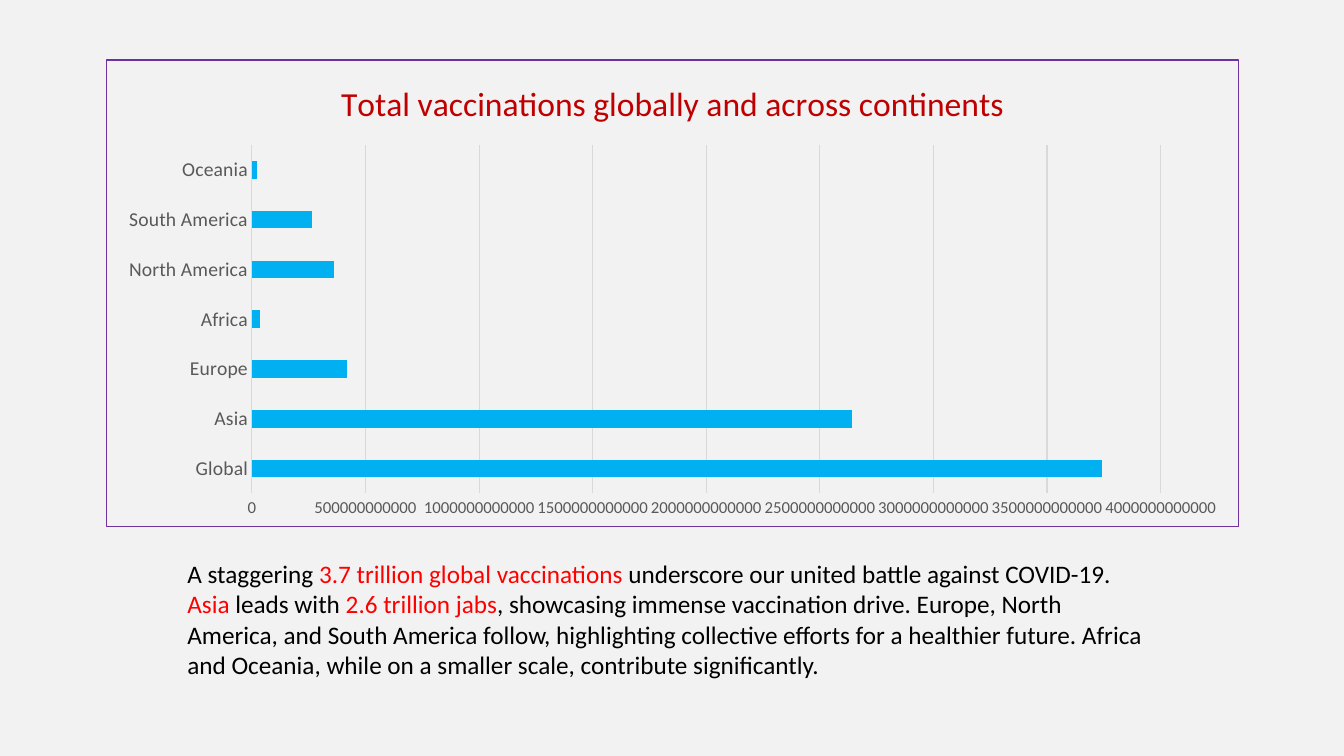
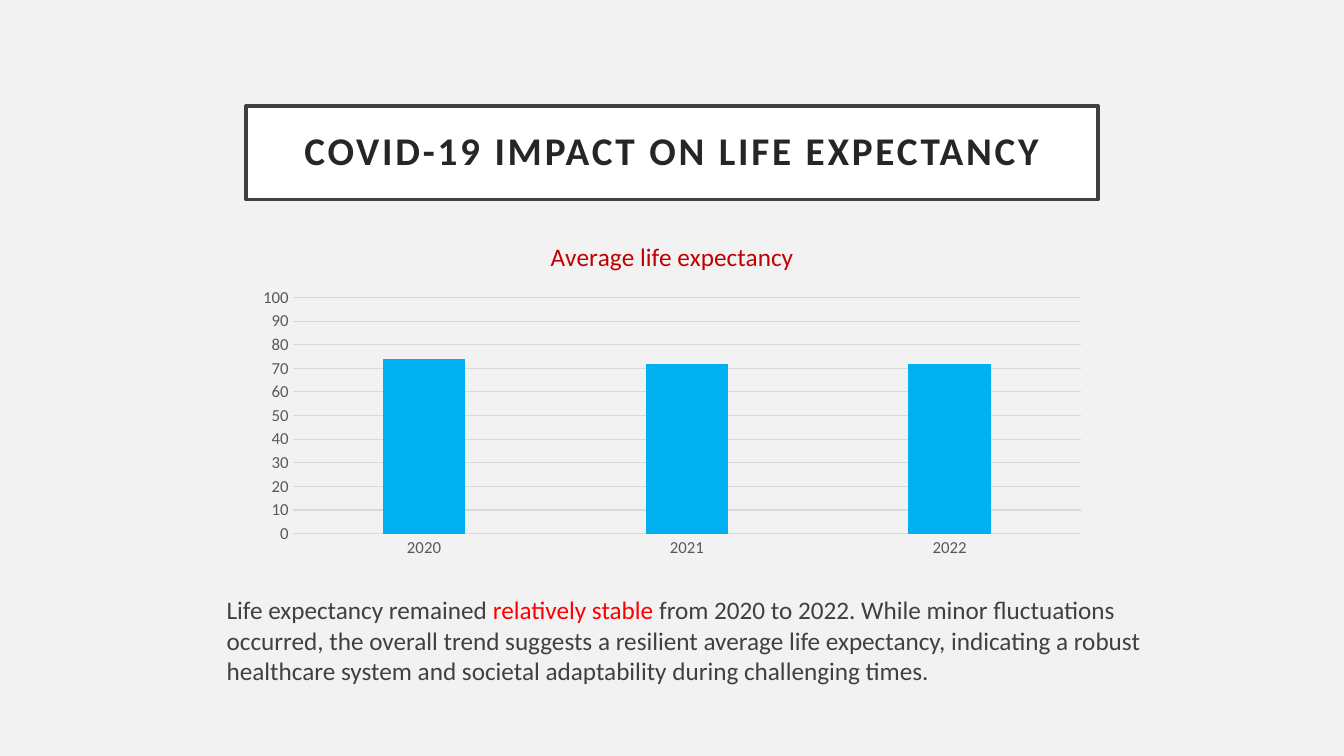
from lxml.etree import fromstring
from pptx import Presentation
from pptx.chart.data import CategoryChartData
from pptx.dml.color import RGBColor
from pptx.enum.chart import XL_CHART_TYPE, XL_TICK_MARK
from pptx.enum.text import MSO_ANCHOR, PP_ALIGN
from pptx.util import Inches, Pt

FONT = "Calibri"
PAPER = RGBColor(0xF2, 0xF2, 0xF2)
WHITE = RGBColor(0xFF, 0xFF, 0xFF)
BLACK = RGBColor(0x00, 0x00, 0x00)
INK = RGBColor(0x26, 0x26, 0x26)
CHARCOAL = RGBColor(0x40, 0x40, 0x40)
GREY = RGBColor(0x59, 0x59, 0x59)
GRID = RGBColor(0xD9, 0xD9, 0xD9)
RED = RGBColor(0xFF, 0x00, 0x00)
CRIMSON = RGBColor(0xC0, 0x00, 0x00)
BLUE = RGBColor(0x00, 0xB0, 0xF0)
PURPLE = RGBColor(0x70, 0x30, 0xA0)

VACCINATIONS = {
    "Global": 3740000000000,
    "Asia": 2640000000000,
    "Europe": 418000000000,
    "Africa": 37000000000,
    "North America": 360000000000,
    "South America": 264000000000,
    "Oceania": 22000000000,
}
LIFE_EXPECTANCY = {"2020": 74, "2021": 72, "2022": 72}

VACCINATION_NOTE = [
    ("A staggering ", BLACK),
    ("3.7 trillion global vaccinations ", RED),
    ("underscore our united battle against COVID-19. ", BLACK),
    ("Asia", RED),
    (" leads with ", BLACK),
    ("2.6 trillion jabs", RED),
    (", showcasing immense vaccination drive. Europe, North America, and South "
     "America follow, highlighting collective efforts for a healthier future. "
     "Africa and Oceania, while on a smaller scale, contribute significantly.", BLACK),
]
LIFE_NOTE = [
    ("Life expectancy remained ", CHARCOAL),
    ("relatively stable ", RED),
    ("from 2020 to 2022. While minor fluctuations occurred, the overall trend "
     "suggests a resilient average life expectancy, indicating a robust healthcare "
     "system and societal adaptability during challenging times.", CHARCOAL),
]


def box(*lengths):
    return [Inches(n) for n in lengths]


def style(font, size, color, bold=False):
    font.name, font.size, font.bold = FONT, Pt(size), bold
    font.color.rgb = color


def write(p, text, size=18, color=BLACK, bold=False, spacing=0):
    r = p.add_run()
    r.text = text
    style(r.font, size, color, bold)
    if spacing:
        r.font._element.set("spc", str(spacing * 100))


def add_note(s, place, runs):
    tf = s.shapes.add_textbox(*box(*place)).text_frame
    tf.word_wrap = True
    for text, color in runs:
        write(tf.paragraphs[0], text, color=color)


def frame_chart(chart, color):
    line = "<a:noFill/>"
    if color is not None:
        line = f'<a:solidFill><a:srgbClr val="{color}"/></a:solidFill>'
    chart._chartSpace.chart.addnext(fromstring(
        '<c:spPr xmlns:c="http://schemas.openxmlformats.org/drawingml/2006/chart" '
        'xmlns:a="http://schemas.openxmlformats.org/drawingml/2006/main">'
        f'<a:noFill/><a:ln w="9525">{line}</a:ln></c:spPr>'))


def add_bars(s, kind, place, title, values, name, title_size, label_size, gap,
             overlap=0, border=None, top=None):
    data = CategoryChartData()
    data.categories = list(values)
    data.add_series(name, list(values.values()))
    chart = s.shapes.add_chart(kind, *box(*place), data).chart
    style(chart.font, 10, BLACK)
    frame_chart(chart, border)
    chart.has_legend = False
    chart.has_title = True
    write(chart.chart_title.text_frame.paragraphs[0], title, title_size, CRIMSON)
    chart.chart_title.include_in_layout = False

    plot = chart.plots[0]
    plot.gap_width, plot.overlap, plot.vary_by_categories = gap, overlap, False
    fill = plot.series[0].format.fill
    fill.solid()
    fill.fore_color.rgb = BLUE

    for axis, size in ((chart.category_axis, label_size), (chart.value_axis, 12)):
        axis.major_tick_mark = axis.minor_tick_mark = XL_TICK_MARK.NONE
        style(axis.tick_labels.font, size, GREY)
    value_axis = chart.value_axis
    value_axis.tick_labels.number_format = "0"
    value_axis.tick_labels.number_format_is_linked = False
    value_axis.format.line.fill.background()
    value_axis.minimum_scale = 0
    value_axis.maximum_scale = top
    value_axis.has_major_gridlines = True
    for part in (chart.category_axis, value_axis.major_gridlines):
        part.format.line.color.rgb = GRID
        part.format.line.width = Pt(0.75)


def add_title(s, place, text):
    title = s.shapes.title
    title.left, title.top, title.width, title.height = box(*place)
    title.fill.solid()
    title.fill.fore_color.rgb = WHITE
    title.line.color.rgb = CHARCOAL
    title.line.width = Pt(2.5)
    tf = title.text_frame
    tf.word_wrap = True
    tf.vertical_anchor = MSO_ANCHOR.MIDDLE
    tf.margin_left = tf.margin_right = tf.margin_top = tf.margin_bottom = Inches(0.2)
    p = tf.paragraphs[0]
    p.alignment, p.line_spacing = PP_ALIGN.CENTER, 0.9
    write(p, text, 28, INK, bold=True, spacing=2)


def main():
    prs = Presentation()
    prs.slide_width, prs.slide_height = box(13.33, 7.5)
    background = prs.slide_master.background.fill
    background.solid()
    background.fore_color.rgb = PAPER
    title_only, blank = prs.slide_layouts[5], prs.slide_layouts[6]

    s = prs.slides.add_slide(blank)
    add_bars(s, XL_CHART_TYPE.BAR_CLUSTERED, (1.05, 0.59, 11.24, 4.64),
             "Total vaccinations globally and across continents", VACCINATIONS,
             "Series 1", title_size=24, label_size=14, gap=182, border=PURPLE)
    add_note(s, (1.76, 5.49, 9.82, 1.31), VACCINATION_NOTE)

    s = prs.slides.add_slide(title_only)
    add_title(s, (2.44, 1.05, 8.45, 0.93), "COVID-19 IMPACT ON LIFE EXPECTANCY")
    add_bars(s, XL_CHART_TYPE.COLUMN_CLUSTERED, (2.44, 2.21, 8.45, 3.39),
             "Average life expectancy", LIFE_EXPECTANCY, "Average life expectancy",
             title_size=18, label_size=12, gap=219, overlap=-27, top=100)
    add_note(s, (2.15, 5.85, 9.9, 1.01), LIFE_NOTE)

    prs.save("out.pptx")


if __name__ == "__main__":
    main()
